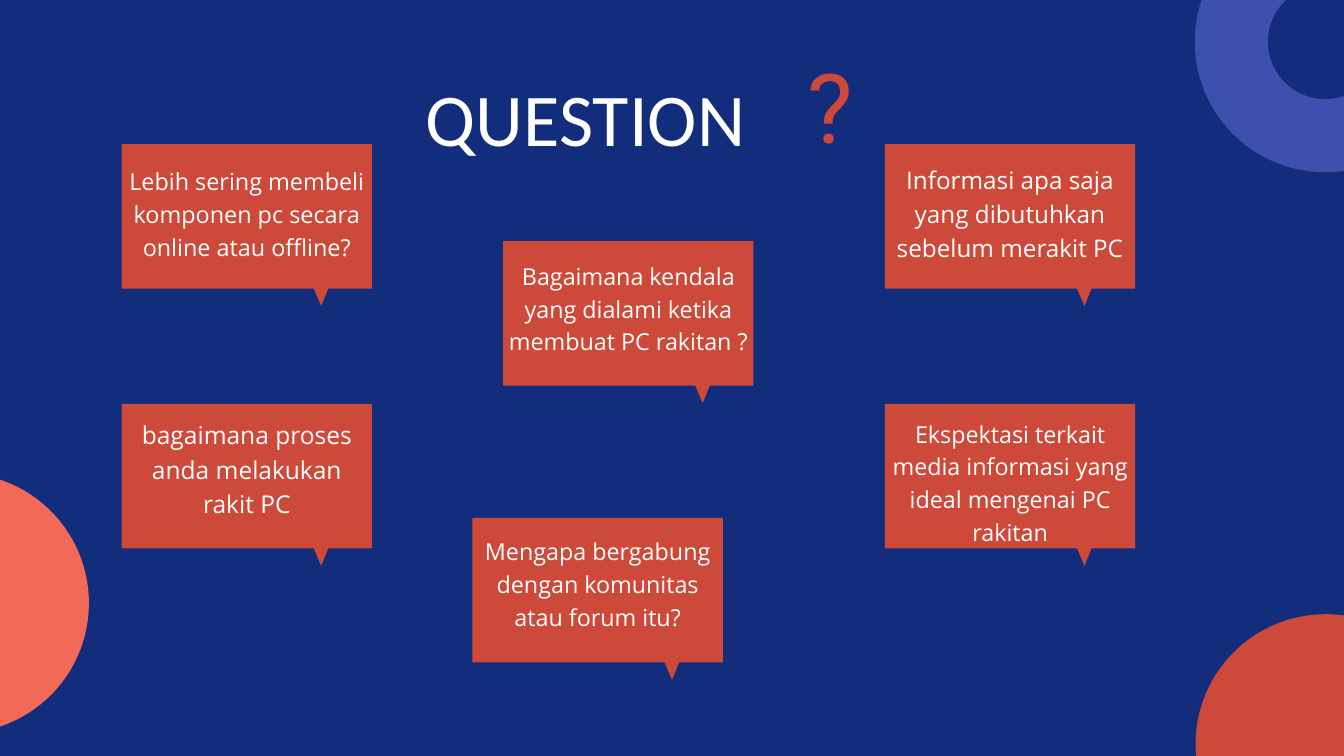
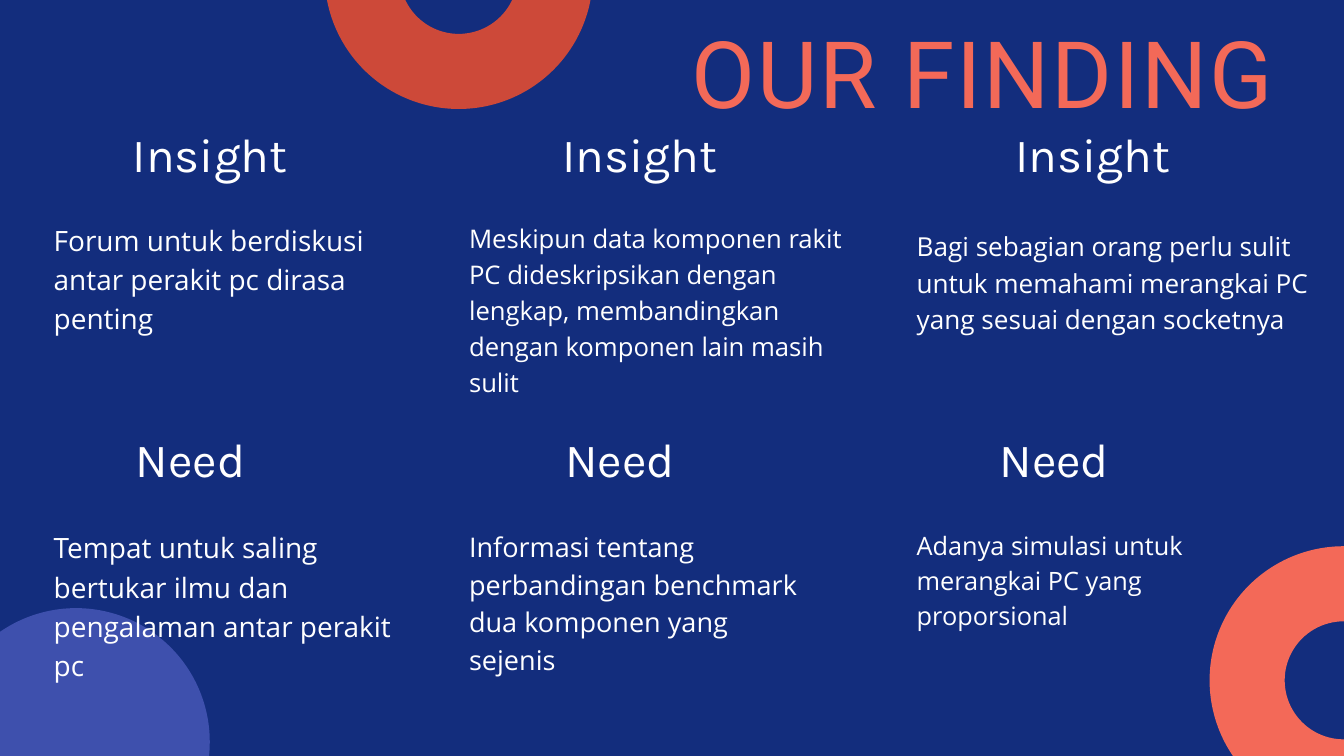
import pptx
import pptx.util
import pptx.dml.color
import pptx.enum.shapes
import pptx.enum.text

Cm, Pt = pptx.util.Cm, pptx.util.Pt
Shape = pptx.enum.shapes.MSO_SHAPE
Align = pptx.enum.text.PP_ALIGN

COLORS = {
    "navy": "132D7D",
    "red": "CD4939",
    "coral": "F36958",
    "violet": "3E50AD",
    "white": "FFFFFF",
}
BODY, HEAD, TITLE = "Open Sans", "Karla", "Roboto"
LEADING = 1.4

# Callout body size, and its tail as offsets from the top left corner
CARD_W, CARD_H = 9.46, 5.46
TAIL = [(7.81, CARD_H), (7.54, 6.12), (7.26, CARD_H)]


def color(name):
    return pptx.dml.color.RGBColor.from_string(COLORS[name])


class Deck:
    def __init__(self):
        self.prs = pptx.Presentation()
        self.prs.slide_width, self.prs.slide_height = Cm(50.8), Cm(28.58)
        self.slide = None

    def page(self):
        self.slide = self.prs.slides.add_slide(self.prs.slide_layouts[6])
        fill = self.slide.background.fill
        fill.solid()
        fill.fore_color.rgb = color("navy")

    def paint(self, shape, tint):
        shape.shadow.inherit = False
        shape.fill.solid()
        shape.fill.fore_color.rgb = color(tint)
        shape.line.fill.background()

    def disc(self, x, y, size, tint):
        shape = self.slide.shapes.add_shape(
            Shape.OVAL, Cm(x), Cm(y), Cm(size), Cm(size))
        self.paint(shape, tint)

    def ring(self, x, y, size, tint):
        shape = self.slide.shapes.add_shape(
            Shape.DONUT, Cm(x), Cm(y), Cm(size), Cm(size))
        shape.adjustments[0] = 0.28
        self.paint(shape, tint)

    def text(self, words, x, y, w, h, size, font=BODY, tint="white",
             align=Align.LEFT, leading=LEADING, track=0):
        """Add a text box; track is the letter spacing in points."""
        box = self.slide.shapes.add_textbox(Cm(x), Cm(y), Cm(w), Cm(h))
        frame = box.text_frame
        frame.margin_left = frame.margin_right = 0
        frame.margin_top = frame.margin_bottom = 0
        frame.word_wrap = True
        frame.auto_size = pptx.enum.text.MSO_AUTO_SIZE.SHAPE_TO_FIT_TEXT
        para = frame.paragraphs[0]
        para.alignment = align
        para.line_spacing = Pt(round(size * leading, 1))
        run = para.add_run()
        run.text = words
        if track:
            run._r.get_or_add_rPr().set("spc", str(track * 100))
        para.font.name = font
        para.font.size = Pt(size)
        para.font.color.rgb = color(tint)

    def card(self, words, x, y, drop, w, h, size):
        """Add a callout with its question centred, drop below the top edge."""
        points = [(CARD_W, 0), (CARD_W, CARD_H), *TAIL, (0, CARD_H)]
        build = self.slide.shapes.build_freeform(Cm(x), Cm(y))
        build.add_line_segments(
            [(Cm(x + dx), Cm(y + dy)) for dx, dy in points], close=True)
        self.paint(build.convert_to_shape(), "red")
        self.text(words, x + (CARD_W - w) / 2, y + drop, w, h, size,
                  align=Align.CENTER)


def ask(deck):
    deck.page()
    deck.disc(45.19, 23.22, 9.84, "red")
    deck.ring(45.16, -3.35, 9.86, "violet")
    deck.disc(-6.48, 17.88, 9.84, "coral")
    deck.text("?", 30.43, 1.07, 1.9, 4.9, 103.3, TITLE, "red", Align.CENTER)
    deck.text("QUESTION", 16.1, 2.18, 22.4, 3.78, 79.7, "Calibri")

    left, right, top, low = 4.6, 33.45, 5.45, 15.27
    cards = [
        ("Lebih sering membeli komponen pc secara online atau offline?",
         left, top, 0.71, 10.64, 3.71, 25.1),
        ("Bagaimana kendala yang dialami ketika membuat PC rakitan ?",
         19.02, 9.12, 0.61, 10.11, 3.61, 25),
        ("Informasi apa saja yang dibutuhkan sebelum merakit PC",
         right, top, 0.61, 10.06, 3.78, 26),
        ("bagaimana proses anda melakukan rakit PC",
         left, low, 0.43, 8.08, 5.13, 26.3),
        ("Mengapa bergabung dengan komunitas atau forum itu?",
         17.86, 19.58, 0.56, 8.84, 3.61, 25),
        ("Ekspektasi terkait media informasi yang ideal mengenai PC rakitan",
         right, low, 0.43, CARD_W, 6.05, 25),
    ]
    for card in cards:
        deck.card(*card)


def find(deck):
    deck.page()
    deck.ring(12.27, -6.02, 10.14, "red")
    deck.ring(45.72, 20.65, 10.14, "coral")
    deck.disc(-2.18, 22.99, 10.11, "violet")
    deck.text("OUR FINDING", 26.14, 0.25, 27.46, 4.39, 99.6, TITLE, "coral",
              leading=1.3, track=2)

    # Each row: heading, top, width, heading lefts, then the notes
    rows = [
        ("Insight", 4.37, 6.1, (4.9, 21.13, 38.25), [
            ("Forum untuk berdiskusi antar perakit pc dirasa penting",
             8.23, 12.4, 4.37, 30),
            ("Meskipun data komponen rakit PC dideskripsikan dengan lengkap, "
             "membandingkan dengan komponen lain masih sulit",
             8.23, 15.37, 6.68, 27.5),
            ("Bagi sebagian orang perlu sulit untuk memahami merangkai PC "
             "yang sesuai dengan socketnya", 8.51, 14.86, 4.09, 28),
        ]),
        ("Need", 15.9, 4.42, (5, 21.23, 37.64), [
            ("Tempat untuk saling bertukar ilmu dan pengalaman antar "
             "perakit pc", 19.86, 13.31, 5.84, 30),
            ("Informasi tentang perbandingan benchmark dua komponen yang "
             "sejenis", 19.84, 13, 5.66, 29),
            ("Adanya simulasi untuk merangkai PC yang proporsional",
             19.84, 10.92, 3.94, 27.1),
        ]),
    ]
    lefts = (2.03, 17.73, 34.65)
    for head, top, wide, heads, notes in rows:
        for x, left, (words, y, w, h, size) in zip(heads, lefts, notes):
            deck.text(head, x, top, wide, 2.44, 51, HEAD, align=Align.CENTER)
            deck.text(words, left, y, w, h, size)


def main():
    deck = Deck()
    ask(deck)
    find(deck)
    deck.prs.save("out.pptx")


if __name__ == "__main__":
    main()
